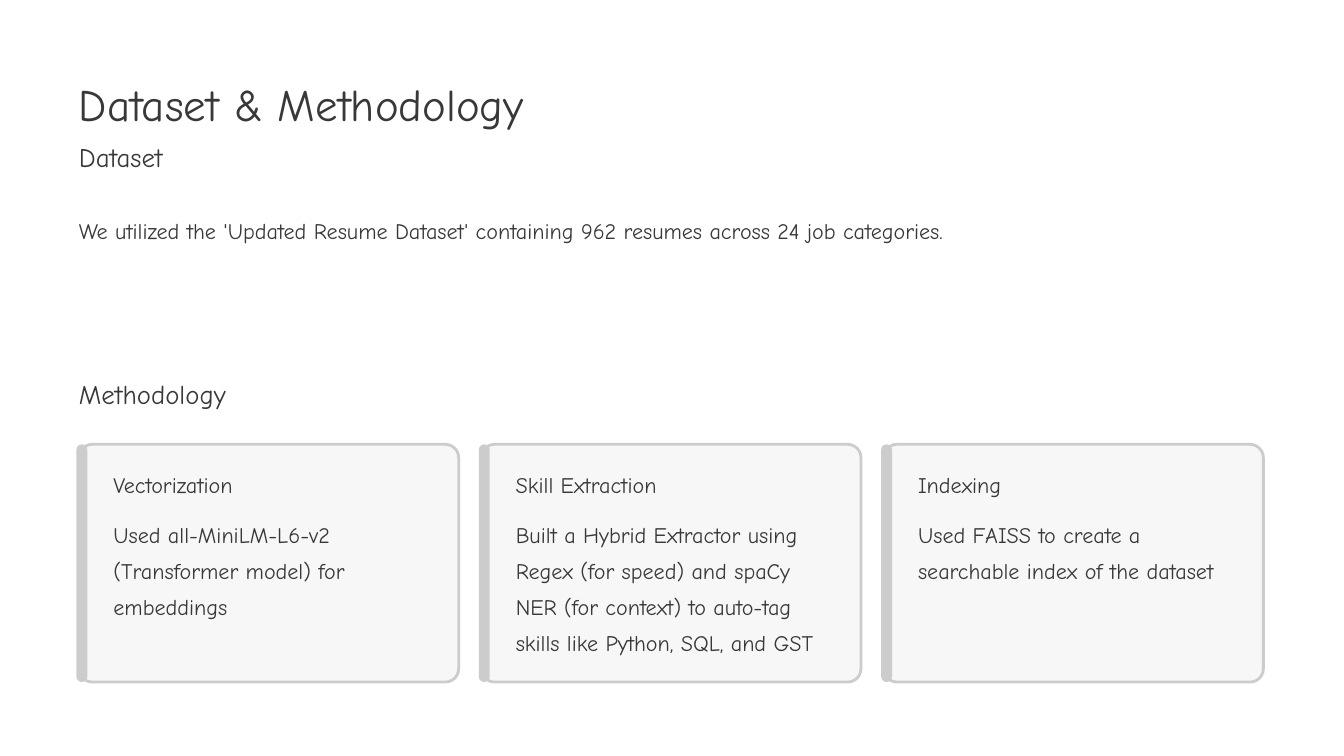
from pptx import Presentation
from pptx.dml.color import RGBColor
from pptx.enum.shapes import MSO_SHAPE
from pptx.enum.text import MSO_ANCHOR, MSO_AUTO_SIZE, PP_ALIGN
from pptx.util import Pt

PX = 9144  # EMU per px, 100 px to the inch
FONT = "Comic Neue"
COLORS = {"ink": "383838", "card": "F7F7F7", "edge": "CCCCCC"}
ROUND = MSO_SHAPE.ROUNDED_RECTANGLE
TOP = MSO_ANCHOR.TOP
LEFT = PP_ALIGN.LEFT
FIXED = MSO_AUTO_SIZE.NONE

# Text styles: font size and line pitch in points
TITLE = (38.5, 48.5)
HEAD = (23, 29)
LABEL = (19, 24)
BODY = (19, 31)

CARDS = [
    ("Vectorization",
     "Used all-MiniLM-L6-v2 (Transformer model) for embeddings"),
    ("Skill Extraction",
     "Built a Hybrid Extractor using Regex (for speed) and spaCy NER "
     "(for context) to auto-tag skills like Python, SQL, and GST"),
    ("Indexing",
     "Used FAISS to create a searchable index of the dataset"),
]


def color(name):
    return RGBColor.from_string(COLORS[name])


def scale(box):
    return [n * PX for n in box]


def write(shape, text, style, wrap=False):
    size, pitch = style
    frame = shape.text_frame
    frame.margin_left = frame.margin_right = 0
    frame.margin_top = frame.margin_bottom = 0
    frame.auto_size = FIXED
    frame.word_wrap = wrap
    frame.vertical_anchor = TOP
    para = frame.paragraphs[0]
    para.alignment = LEFT
    para.line_spacing = Pt(pitch)
    run = para.add_run()
    run.text = text
    run.font.name = FONT
    run.font.size = Pt(size)
    run.font.color.rgb = color("ink")


def add_text(slide, box, text, style, wrap=False):
    write(slide.shapes.add_textbox(*scale(box)), text, style, wrap)


def add_panel(slide, box, fill, bend, edge=None):
    panel = slide.shapes.add_shape(ROUND, *scale(box))
    panel.adjustments[0] = bend
    panel.shadow.inherit = False
    panel.fill.solid()
    panel.fill.fore_color.rgb = color(fill)
    if edge:
        panel.line.color.rgb = color(edge)
        panel.line.width = Pt(2.4)
    else:
        panel.line.fill.background()


def add_title(slide, box, text):
    title = slide.shapes.title
    title.left, title.top, title.width, title.height = scale(box)
    write(title, text, TITLE)


def add_card(slide, box, label, text):
    x, y, w, h = box
    add_panel(slide, box, "card", 0.056, "edge")
    add_panel(slide, (x - 3, y, 13, h), "edge", 0.5)
    add_text(slide, (x + 41, y + 30, 270, 34), label, LABEL)
    add_text(slide, (x + 41, y + 80, w - 70, h - 110), text, BODY, True)


def add_cards(slide, box, gap):
    """Split the box into equal cards, one for each step."""
    x, y, w, h = box
    count = len(CARDS)
    wide = (w - gap * (count - 1)) // count
    for i, (label, text) in enumerate(CARDS):
        add_card(slide, (x + i * (wide + gap), y, wide, h), label, text)


def build(slide):
    x, w = 94, 1410
    add_title(slide, (x, 88, 540, 67), "Dataset & Methodology")
    add_text(slide, (x, 166, 324, 40), "Dataset", HEAD)
    add_text(slide, (x, 247, w, 43),
             "We utilized the 'Updated Resume Dataset' containing 962 resumes "
             "across 24 job categories.", BODY)
    add_text(slide, (x, 448, 324, 40), "Methodology", HEAD)
    add_cards(slide, (x, 529, w, 283), 27)


def main():
    deck = Presentation()
    deck.slide_width, deck.slide_height = scale((1600, 900))
    build(deck.slides.add_slide(deck.slide_layouts[5]))
    deck.save("out.pptx")


if __name__ == "__main__":
    main()
